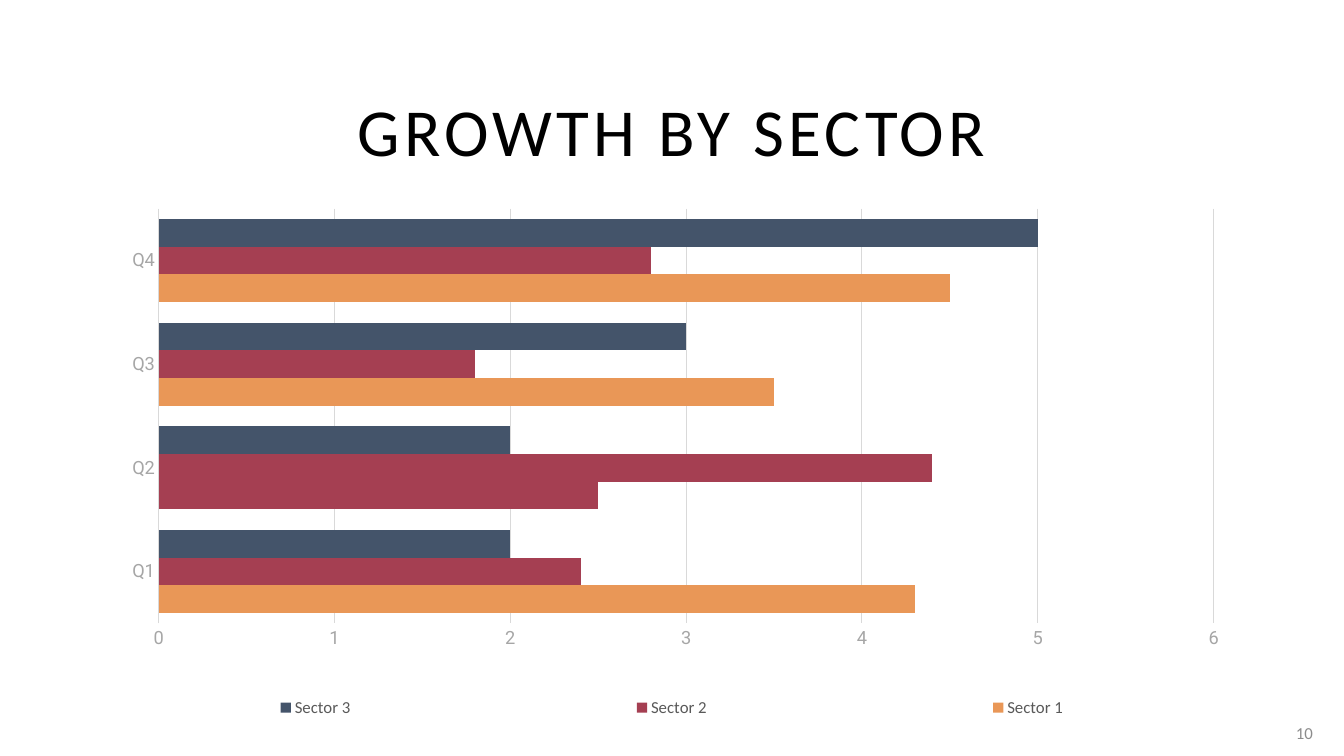
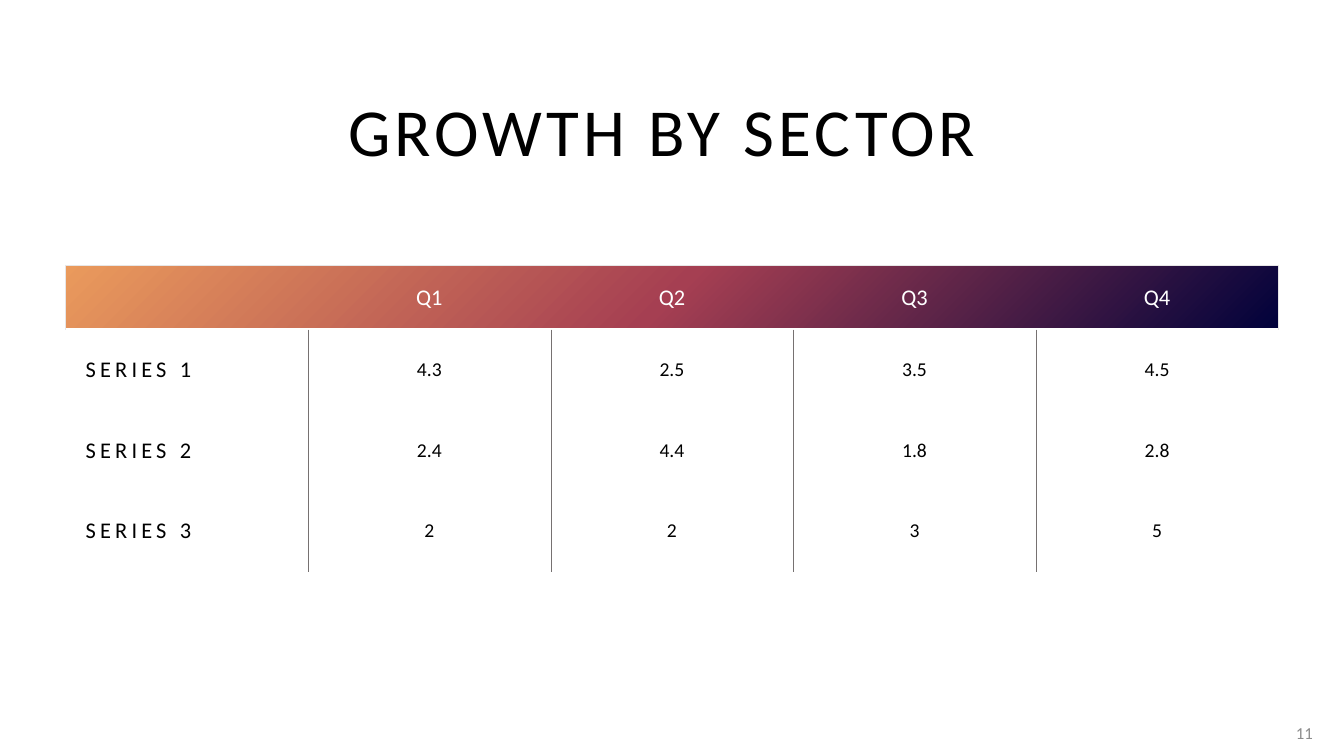
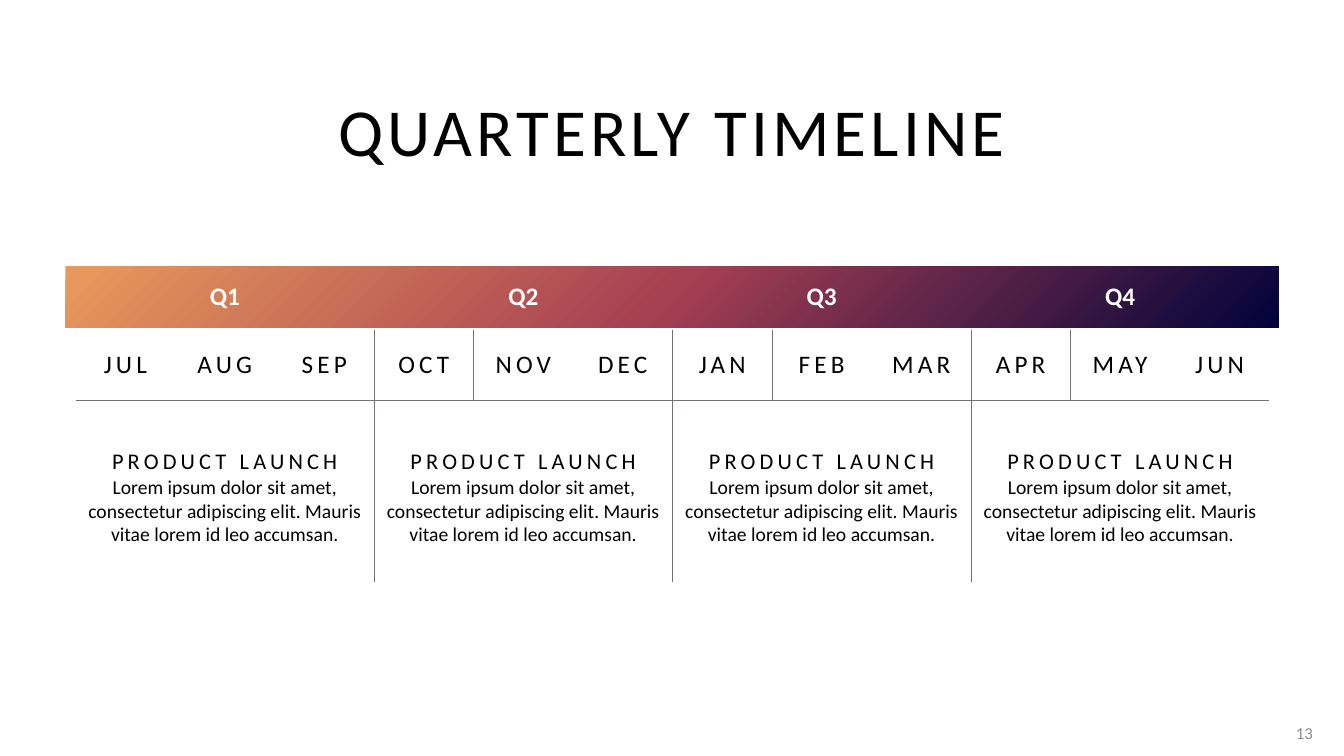
from dataclasses import dataclass
from lxml import etree
from pptx import Presentation
from pptx.chart.data import CategoryChartData as ChartData
from pptx.dml.color import RGBColor as RGB
from pptx.enum.chart import XL_CHART_TYPE as Kind, XL_LEGEND_POSITION as Spot, XL_TICK_MARK as Tick
from pptx.enum.shapes import MSO_SHAPE as Shape
from pptx.enum.text import MSO_ANCHOR as Anchor, MSO_AUTO_SIZE as Fit, PP_ALIGN as Align
from pptx.oxml.ns import qn
from pptx.util import Inches, Pt

# Content
QUARTERS = ["Q1", "Q2", "Q3", "Q4"]
SECTORS = [
    ("Sector 1", [4.3, 2.5, 3.5, 4.5]),
    ("Sector 2", [2.4, 4.4, 1.8, 2.8]),
    ("Sector 3", [2, 2, 3, 5]),
]
MONTHS = ["JUL", "AUG", "SEP", "OCT", "NOV", "DEC",
          "JAN", "FEB", "MAR", "APR", "MAY", "JUN"]
EVENT = "PRODUCT LAUNCH"
DETAIL = ("Lorem ipsum dolor sit amet, consectetur adipiscing elit. "
          "Mauris vitae lorem id leo accumsan.")
PLAIN = "{2D5ABB26-0587-4C30-8999-92F81FD0307C}"  # table style without grid


@dataclass(frozen=True)
class Theme:
    font: str = "Calibri"
    chart: str = "Roboto"
    ink: str = "000000"
    white: str = "FFFFFF"
    page: str = "8C8C8C"
    rule: str = "767171"
    edge: str = "E7E6E6"
    grid: str = "D9D9D9"
    axis: str = "A6A6A6"
    key: str = "595959"
    bars: tuple = ("E99757", "A53F52", "44546A")
    band: tuple = ("01023B", "A53F52", "EA9A5C")
    title: int = 48
    large: int = 18
    mid: int = 16
    body: int = 14
    tick: int = 13
    small: int = 12
    wide: int = 300  # letter spacing, hundredths of a point


T = Theme()
LEFT, WIDTH = 0.65, 12.03


# Shared helpers
def style(font, size, color, name=T.font, bold=False, gap=0):
    font.size, font.name, font.bold = Pt(size), name, bold
    font.color.rgb = RGB.from_string(color)
    if gap:
        font._element.set("spc", str(gap))


def write(para, text, size, color=T.ink, align=Align.CENTER, **look):
    para.text, para.alignment = text, align
    style(para.font, size, color, **look)


def box(*sides):
    return [Inches(side) for side in sides]


def add(parent, tag, **attrs):
    return etree.SubElement(parent, qn(tag), attrs)


def start(deck, title, page):
    slide = deck.slides.add_slide(deck.slide_layouts[5])
    head = slide.shapes.title
    head.left, head.top, head.width, head.height = box(LEFT, 0.84, WIDTH, 0.9)
    frame = head.text_frame
    frame.auto_size, frame.vertical_anchor = Fit.NONE, Anchor.MIDDLE
    write(frame.paragraphs[0], title, T.title, gap=T.wide)
    frame = slide.shapes.add_textbox(*box(12.63, 7.07, 0.49, 0.4)).text_frame
    frame.word_wrap, frame.vertical_anchor = True, Anchor.MIDDLE
    write(frame.paragraphs[0], str(page), T.small, T.page, Align.RIGHT)
    return slide


def add_band(slide):
    band = slide.shapes.add_shape(Shape.RECTANGLE, *box(LEFT, 2.64, WIDTH, 0.61))
    band.shadow.inherit = False
    band.line.fill.background()
    band.fill.gradient()
    grad = band.fill._fill._gradFill
    for child in list(grad):
        grad.remove(child)
    stops = add(grad, "a:gsLst")
    for i, color in enumerate(T.band):
        add(add(stops, "a:gs", pos=str(i * 50000)), "a:srgbClr", val=color)
    ray = add(grad, "a:path", path="circle")
    add(ray, "a:fillToRect", l="100000", t="100000")


def add_grid(slide, left, width, cols, rows):
    table = slide.shapes.add_table(
        len(rows), cols, *box(left, 2.63, width, sum(rows))).table
    table.first_row = table.horz_banding = False
    table._tbl.tblPr.find(qn("a:tableStyleId")).text = PLAIN
    for col in table.columns:
        col.width = Inches(width / cols)
    for row, tall in zip(table.rows, rows):
        row.height = Inches(tall)
    for cell in table.iter_cells():
        cell.fill.background()
        cell.vertical_anchor = Anchor.MIDDLE
    return table


def edge(cell, sides, color=T.rule, width=0.25):
    props = cell._tc.get_or_add_tcPr()
    for i, side in enumerate(s for s in "LRTB" if s in sides):
        line = etree.Element(qn("a:ln" + side), w=str(Pt(width)))
        add(add(line, "a:solidFill"), "a:srgbClr", val=color)
        props.insert(i, line)


def place(parent, index, inner, **spots):
    for old in parent.findall(qn("c:layout")):
        parent.remove(old)
    layout = etree.Element(qn("c:layout"))
    manual = add(layout, "c:manualLayout")
    if inner:
        add(manual, "c:layoutTarget", val="inner")
    for side in "xy":
        add(manual, f"c:{side}Mode", val="edge")
    for side, val in spots.items():
        add(manual, "c:" + side, val=str(val))
    parent.insert(index, layout)


# Bar chart
def chart_slide(deck):
    slide = start(deck, "GROWTH BY SECTOR", 10)
    data = ChartData()
    data.categories = QUARTERS
    for name, vals in SECTORS:
        data.add_series(name, vals)
    chart = slide.shapes.add_chart(
        Kind.BAR_CLUSTERED, *box(0, 1.5, 13.33, 6), data).chart
    chart.has_title = False
    style(chart.font, 15, T.ink, T.chart)
    plot = chart.plots[0]
    plot.gap_width, plot.overlap, plot.vary_by_categories = 75, 0, False
    for series, color in zip(plot.series, T.bars):
        series.format.fill.solid()
        series.format.fill.fore_color.rgb = RGB.from_string(color)
    accent = plot.series[0].points[1].format.fill
    accent.solid()
    accent.fore_color.rgb = RGB.from_string(T.bars[1])

    cats, vals = chart.category_axis, chart.value_axis
    for axis in (cats, vals):
        axis.major_tick_mark = axis.minor_tick_mark = Tick.NONE
        style(axis.tick_labels.font, T.tick, T.axis, T.chart)
    vals.minimum_scale, vals.maximum_scale, vals.major_unit = 0, 6, 1
    vals.has_major_gridlines = True
    for line in (cats.format.line, vals.major_gridlines.format.line):
        line.color.rgb, line.width = RGB.from_string(T.grid), Pt(0.75)
    vals.format.line.fill.background()

    chart.has_legend = True
    legend = chart.legend
    legend.position, legend.include_in_layout = Spot.BOTTOM, False
    style(legend.font, T.small, T.key)
    place(legend._element, 1, False, x=0, y=0.88, w=1, h=0.08)
    area = chart._chartSpace.chart.plotArea
    place(area, 0, True, x=0.118, y=0.095, w=0.785, h=0.686)


# Table of values
def table_slide(deck):
    slide = start(deck, "GROWTH BY SECTOR ", 11)
    add_band(slide)
    cols = len(QUARTERS) + 1
    table = add_grid(slide, LEFT, WIDTH, cols, [0.64, 0.8, 0.8, 0.8])
    for c in range(cols):
        cell = table.cell(0, c)
        edge(cell, "T" + "L" * (c == 0) + "R" * (c == cols - 1), T.edge, 0.5)
        if c:
            write(cell.text_frame.paragraphs[0], QUARTERS[c - 1], T.mid, T.white)
    for r, (_, vals) in enumerate(SECTORS, 1):
        name = table.cell(r, 0)
        name.margin_left = Inches(0.2)
        write(name.text_frame.paragraphs[0], f"SERIES {r}", T.mid,
              align=Align.LEFT, gap=T.wide)
        for c, val in enumerate(vals, 1):
            write(table.cell(r, c).text_frame.paragraphs[0], str(val), T.body)
        for c in range(cols):
            edge(table.cell(r, c), "L" * (c > 0) + "R" * (c < cols - 1))


# Timeline by quarter
def time_slide(deck):
    slide = start(deck, "QUARTERLY TIMELINE", 13)
    add_band(slide)
    cols = len(MONTHS)
    table = add_grid(slide, 0.75, 11.84, cols, [0.64, 0.7, 1.8])
    for c, month in enumerate(MONTHS):
        cell = table.cell(1, c)
        write(cell.text_frame.paragraphs[0], month, T.large, gap=T.wide)
        edge(cell, "B" + "L" * (c > 0 and c % 3 == 0)
             + "R" * (c < cols - 1 and c % 3 == 2))
    for q, quarter in enumerate(QUARTERS):
        first, last = q * 3, q * 3 + 2
        for r in (0, 2):
            table.cell(r, first).merge(table.cell(r, last))
        write(table.cell(0, first).text_frame.paragraphs[0], quarter,
              T.large, T.white, bold=True)
        cell = table.cell(2, first)
        edge(cell, "T" + "L" * (q > 0) + "R" * (last < cols - 1))
        frame = cell.text_frame
        write(frame.paragraphs[0], EVENT, T.mid, gap=T.wide)
        frame.paragraphs[0].line_spacing = 1.5
        write(frame.add_paragraph(), DETAIL, T.body)


def main():
    deck = Presentation()
    deck.slide_width, deck.slide_height = box(13.33, 7.5)
    for build in (chart_slide, table_slide, time_slide):
        build(deck)
    deck.save("out.pptx")


if __name__ == "__main__":
    main()
